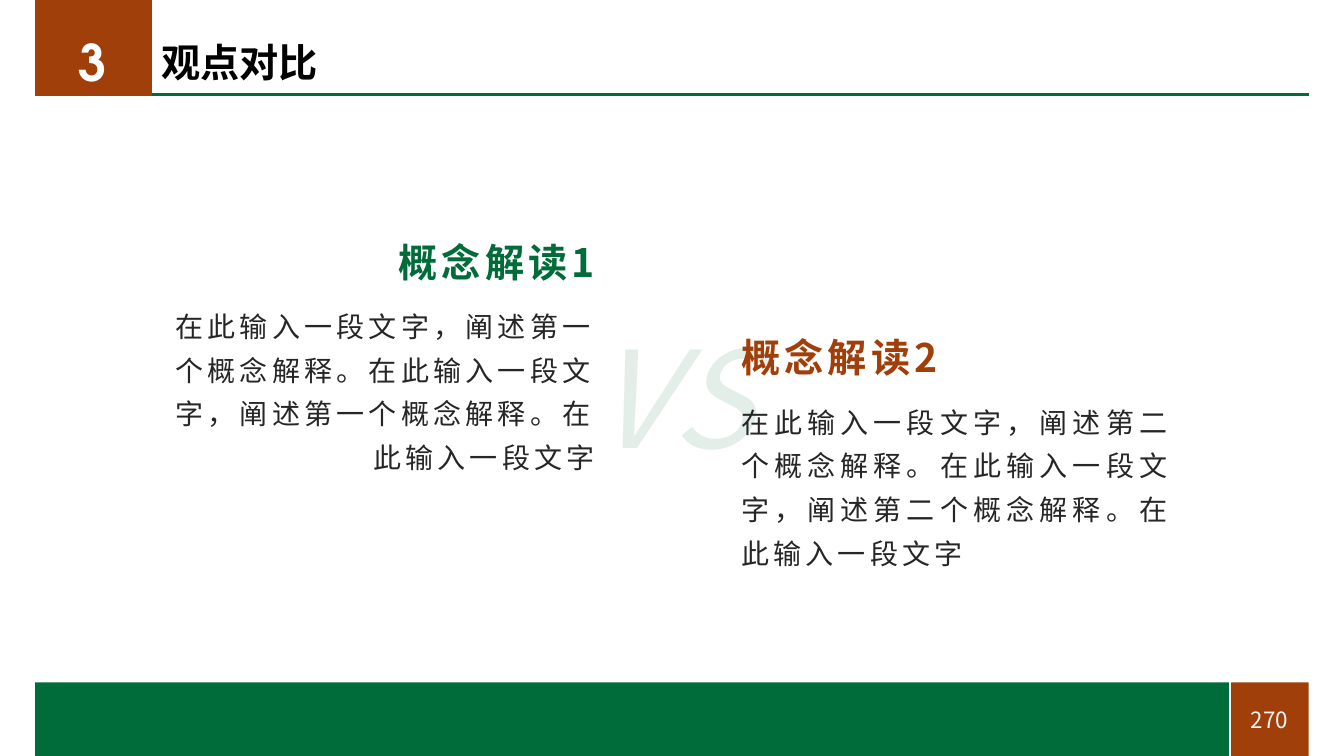
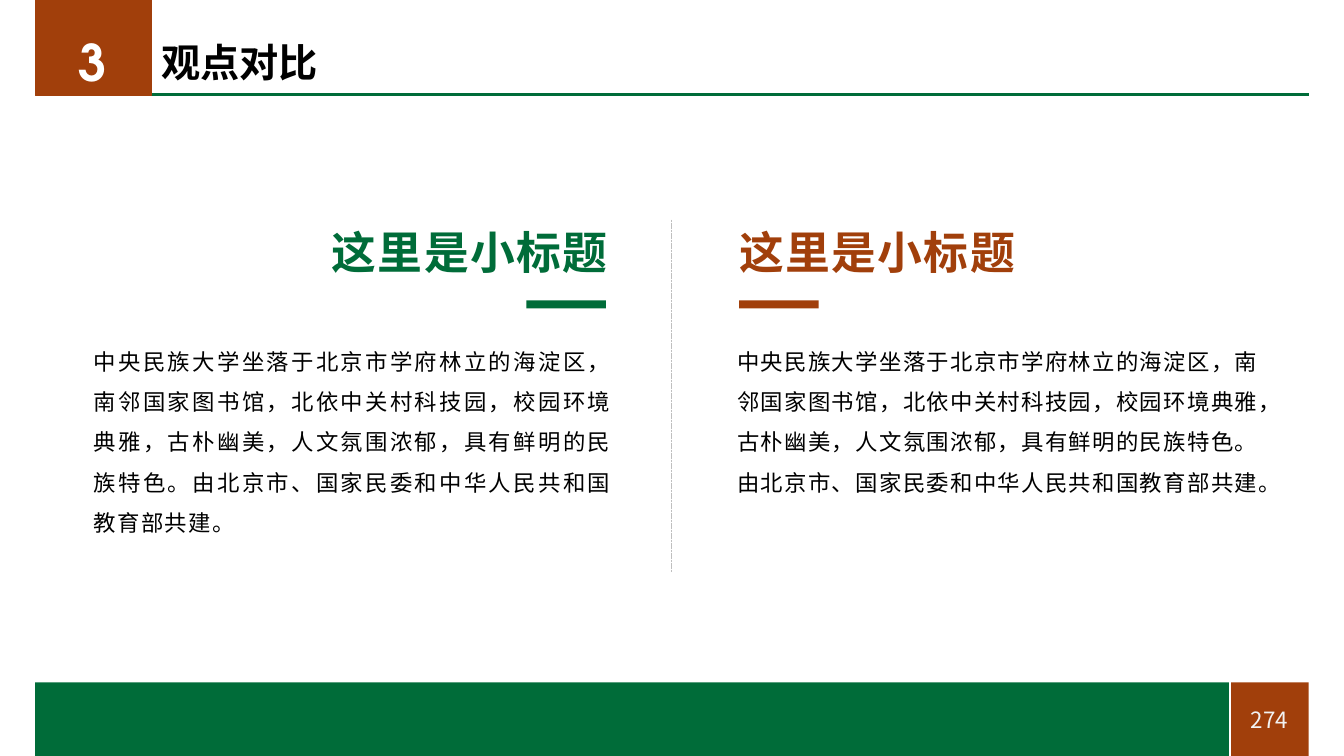
from pptx import Presentation
from pptx.dml.color import RGBColor
from pptx.enum.dml import MSO_LINE
from pptx.enum.shapes import MSO_CONNECTOR, MSO_SHAPE
from pptx.enum.text import MSO_ANCHOR, MSO_AUTO_SIZE, PP_ALIGN
from pptx.oxml.ns import qn
from pptx.util import Inches, Pt
from lxml import etree

LEFT, CENTER, RIGHT, JUSTIFY = (
    PP_ALIGN.LEFT, PP_ALIGN.CENTER, PP_ALIGN.RIGHT, PP_ALIGN.JUSTIFY)
TOP, MIDDLE = MSO_ANCHOR.TOP, MSO_ANCHOR.MIDDLE
GROW, FIXED = MSO_AUTO_SIZE.SHAPE_TO_FIT_TEXT, MSO_AUTO_SIZE.NONE
RECTANGLE, STRAIGHT = MSO_SHAPE.RECTANGLE, MSO_CONNECTOR.STRAIGHT
DASHED = MSO_LINE.SQUARE_DOT

COLORS = {
    "green": "006C39", "rust": "A13F0B", "black": "000000", "ink": "262626",
    "white": "FFFFFF", "pale": "F2F2F2", "gray": "BFBFBF",
}
SANS, GEOMETRIC = "Noto Sans CJK SC", "TeX Gyre Adventor"

NO_INSETS = (0, 0, 0, 0)
LEFT_FLUSH = (0, 0.05, 0.1, 0.05)
DEFAULT_INSETS = (0.1, 0.05, 0.1, 0.05)

TITLE = {"size": 28, "name": SANS, "color": "black", "bold": True}
SECTION = {"size": 36, "name": GEOMETRIC, "color": "white", "bold": True}
PAGE_NUMBER = {"size": 16, "name": SANS, "color": "pale"}
VERSUS = {"size": 96, "name": SANS, "color": "green", "italic": True,
          "spacing": 3, "alpha": 11}
CONCEPT_HEADING = {"size": 28, "name": SANS, "bold": True, "spacing": 3}
CONCEPT_BODY = {"size": 20, "name": GEOMETRIC, "color": "ink", "spacing": 3}
COLUMN_HEADING = {"size": 32, "name": GEOMETRIC, "bold": True, "spacing": 1}
COLUMN_BODY = {"size": 16, "name": GEOMETRIC, "color": "black", "spacing": 1}

SCHOOL_TEXT = (
    "中央民族大学坐落于北京市学府林立的海淀区，南邻国家图书馆，北依中关村科技园，"
    "校园环境典雅，古朴幽美，人文氛围浓郁，具有鲜明的民族特色。"
    "由北京市、国家民委和中华人民共和国教育部共建。")


def rgb(name):
    return RGBColor.from_string(COLORS[name])


def style_span(span, style):
    """Apply a style, with the East Asian font, tracking and opacity."""
    font = span.font
    formats = {**style, "size": Pt(style["size"])}
    for key in ("size", "name", "bold", "italic"):
        if key in formats:
            setattr(font, key, formats[key])
    font.color.rgb = rgb(style["color"])
    props = span._r.get_or_add_rPr()
    props.set("lang", "zh-CN")
    if "spacing" in style:
        props.set("spc", str(style["spacing"] * 100))
    if "alpha" in style:
        color = props.find(qn("a:solidFill"))[0]
        etree.SubElement(color, qn("a:alpha"), val=str(style["alpha"] * 1000))
    latin = props.find(qn("a:latin"))
    east_asian = etree.Element(qn("a:ea"), typeface=style["name"])
    latin.addnext(east_asian)


def write_text(box, text, style, align=LEFT, line_spacing=None, anchor=TOP,
               insets=DEFAULT_INSETS, auto_size=GROW, wrap=True):
    frame = box.text_frame
    left, top, right, bottom = map(Inches, insets)
    formats = {
        "margin_left": left, "margin_top": top, "margin_right": right,
        "margin_bottom": bottom, "vertical_anchor": anchor,
        "auto_size": auto_size, "word_wrap": wrap,
    }
    for key, value in formats.items():
        setattr(frame, key, value)
    para = frame.paragraphs[0]
    para.alignment = align
    if line_spacing:
        para.line_spacing = line_spacing
    span = para.add_run()
    span.text = text
    style_span(span, style)


def add_text(page, place, text, style, **layout):
    box = page.shapes.add_textbox(*map(Inches, place))
    write_text(box, text, style, **layout)


def add_block(page, place, color, outline=None):
    block = page.shapes.add_shape(RECTANGLE, *map(Inches, place))
    block.shadow.inherit = False
    block.fill.solid()
    block.fill.fore_color.rgb = rgb(color)
    if outline:
        block.line.color.rgb = rgb(color)
        block.line.width = Pt(outline)
    else:
        block.line.fill.background()


def add_rule(page, ends, color, width, dash=None):
    rule = page.shapes.add_connector(STRAIGHT, *map(Inches, ends))
    rule.line.color.rgb = rgb(color)
    rule.line.width = Pt(width)
    if dash:
        rule.line.dash_style = dash
    etree.SubElement(rule._element.spPr, qn("a:effectLst"))


def add_page(deck, title, section, number):
    """Add a slide with the shared title, section tab and footer band."""
    page = deck.slides.add_slide(deck.slide_layouts[5])
    add_rule(page, (1.49, 0.94, 12.98, 0.94), "green", 2.25)
    add_block(page, (12.2, 6.77, 0.78, 0.73), "rust")
    add_block(page, (0.35, 0, 1.15, 0.95), "rust", outline=1)
    add_block(page, (0.35, 6.77, 11.86, 0.73), "green")
    add_text(page, (12.29, 6.95, 0.6, 0.37), number, PAGE_NUMBER,
             align=CENTER, anchor=MIDDLE)
    add_rule(page, (12.2, 6.77, 12.2, 7.5), "white", 1)
    heading = page.shapes.title
    heading.left, heading.top, heading.width, heading.height = map(
        Inches, (1.5, 0.38, 9.45, 0.53))
    write_text(heading, title, TITLE, line_spacing=0.9, anchor=MIDDLE)
    add_text(page, (0.39, 0.26, 1.06, 0.71), section, SECTION, align=CENTER)
    return page


def add_concept(page, left, top, ordinal, number, color, heading_align,
                body_align):
    sentence = f"在此输入一段文字，阐述第{ordinal}个概念解释。"
    layout = {"line_spacing": 1.3, "insets": NO_INSETS}
    add_text(page, (left, top + 0.75, 4.27, 1.71),
             sentence * 2 + "在此输入一段文字", CONCEPT_BODY,
             align=body_align, **layout)
    add_text(page, (left, top, 4.27, 0.55), f"概念解读{number}",
             {**CONCEPT_HEADING, "color": color}, align=heading_align, **layout)


def add_column(page, heading_left, bar_left, body_left, body_width, color):
    add_block(page, (bar_left, 2.98, 0.79, 0.08), color)
    add_text(page, (heading_left, 2.18, 2.88, 0.64), "这里是小标题",
             {**COLUMN_HEADING, "color": color}, insets=LEFT_FLUSH, wrap=False)
    add_text(page, (body_left, 3.27, body_width, 2.63), SCHOOL_TEXT,
             COLUMN_BODY, align=JUSTIFY, line_spacing=1.5, insets=LEFT_FLUSH,
             auto_size=FIXED)


def add_concepts_page(deck):
    page = add_page(deck, "观点对比", "3", "270")
    add_text(page, (5.44, 2.8, 2.44, 1.81), "VS", VERSUS, align=CENTER,
             line_spacing=1.2, insets=NO_INSETS)
    add_concept(page, 7.35, 3.17, "二", 2, "rust", LEFT, JUSTIFY)
    add_concept(page, 1.63, 2.22, "一", 1, "green", RIGHT, RIGHT)


def add_columns_page(deck):
    page = add_page(deck, "观点对比", "3", "274")
    add_column(page, 3.29, 5.22, 0.93, 5.24, "green")
    add_column(page, 7.33, 7.33, 7.31, 5.28, "rust")
    add_rule(page, (6.66, 2.18, 6.66, 5.68), "gray", 0.25, DASHED)


def main():
    deck = Presentation()
    deck.slide_width, deck.slide_height = Inches(13.33), Inches(7.5)
    add_concepts_page(deck)
    add_columns_page(deck)
    deck.save("out.pptx")


if __name__ == "__main__":
    main()
